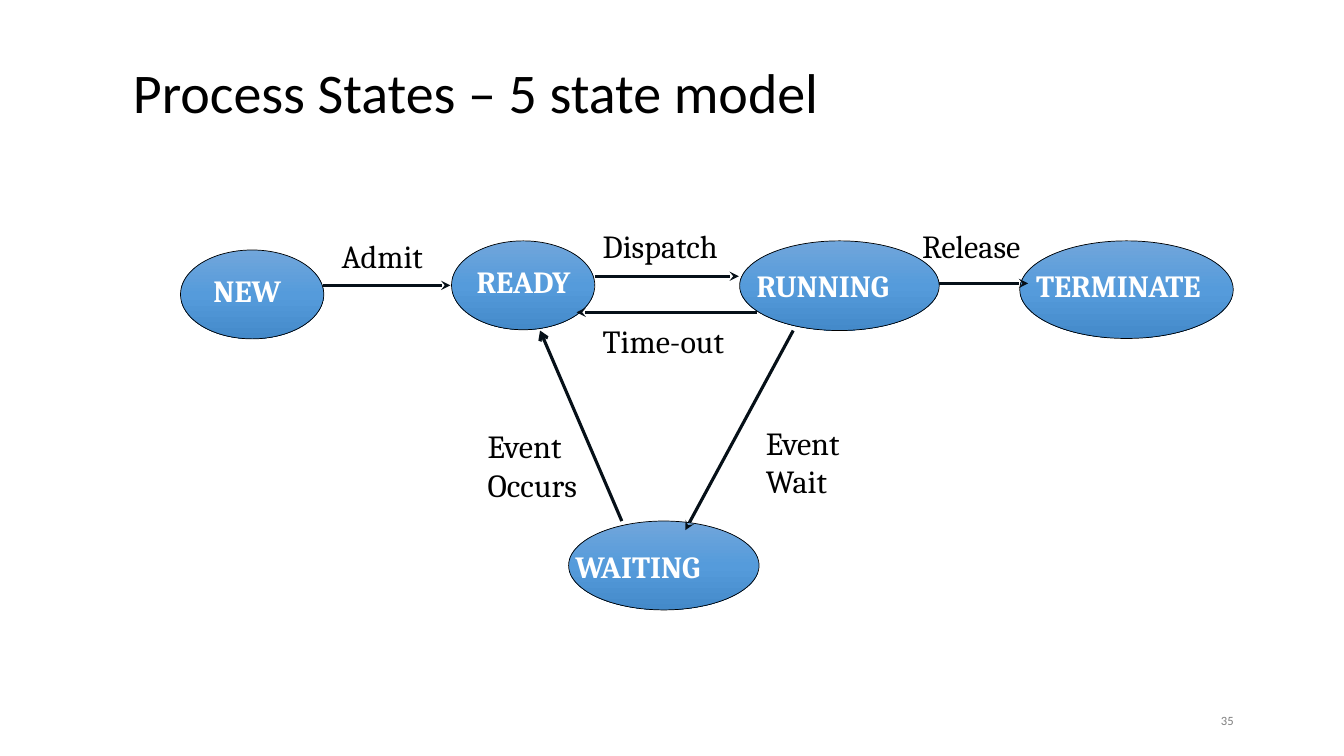
import copy
from dataclasses import dataclass

import pptx
import pptx.dml.color
import pptx.enum.shapes
import pptx.enum.text
import pptx.oxml
import pptx.oxml.ns
import pptx.util

Cm = pptx.util.Cm
Pt = pptx.util.Pt
RGBColor = pptx.dml.color.RGBColor
Align = pptx.enum.text.PP_ALIGN
Anchor = pptx.enum.text.MSO_ANCHOR
AutoSize = pptx.enum.text.MSO_AUTO_SIZE
qn = pptx.oxml.ns.qn

BLACK = RGBColor(0x00, 0x00, 0x00)
WHITE = RGBColor(0xFF, 0xFF, 0xFF)
GRAY = RGBColor(0x80, 0x80, 0x80)
ARROW_COLOR = RGBColor(0x06, 0x10, 0x18)
STATE_GRADIENT = (
    (0.0, RGBColor(0x71, 0xA6, 0xDB)),
    (0.5, RGBColor(0x55, 0x9B, 0xDB)),
    (1.0, RGBColor(0x44, 0x8A, 0xCA)),
)

TITLE_FONT = {"name": "Calibri", "size": Pt(40), "bold": False}
NUMBER_FONT = {"name": "Calibri", "size": Pt(9), "bold": False}
STATE_FONT = {"name": "Cambria", "size": Pt(22), "bold": True}
EVENT_FONT = {"name": "Cambria", "size": Pt(23), "bold": False}

FITTED = {"word_wrap": False, "auto_size": AutoSize.SHAPE_TO_FIT_TEXT}
CENTERED = {"word_wrap": True, "vertical_anchor": Anchor.MIDDLE}


@dataclass
class Area:
    left: float
    top: float
    width: float
    height: float

    def lengths(self) -> list:
        return [Cm(value) for value in (self.left, self.top, self.width, self.height)]


@dataclass
class Label:
    lines: tuple
    area: Area
    font: dict
    color: RGBColor
    frame: dict
    paragraph: dict


@dataclass
class State:
    name: str
    oval: Area
    text: Area


@dataclass
class Arrow:
    start: tuple
    end: tuple
    tip: str = "tailEnd"
    style: str = "stealth"


@dataclass
class Event:
    lines: tuple
    area: Area


STATES = (
    State("READY", Area(11.38, 6.07, 3.61, 2.24), Area(11.76, 6.5, 3, 1.19)),
    State("NEW", Area(4.55, 6.3, 3.61, 2.24), Area(5.13, 6.73, 2.26, 1.19)),
    State("TERMINATE", Area(25.7, 6.07, 5.38, 2.46), Area(25.86, 6.6, 4.85, 1.19)),
    State("RUNNING", Area(18.64, 6.07, 5.03, 2.26), Area(18.82, 6.6, 3.94, 1.19)),
    State("WAITING", Area(14.33, 13.13, 4.8, 2.24), Area(14.25, 13.67, 3.81, 1.19)),
)

ARROWS = (
    Arrow((8.15, 7.19), (11.35, 7.19)),
    Arrow((14.99, 6.96), (18.62, 6.96)),
    Arrow((23.67, 7.14), (25.91, 7.14)),
    Arrow((19.08, 7.87), (14.53, 7.87)),
    Arrow((19.99, 8.33), (17.27, 13.36)),
    Arrow((13.61, 8.33), (15.67, 13.13), "headEnd", "arrow"),
)

EVENTS = (
    Event(("Admit",), Area(8.36, 5.82, 2.67, 1.24)),
    Event(("Dispatch",), Area(14.94, 5.59, 3.58, 1.24)),
    Event(("Time-out",), Area(14.94, 7.98, 3.76, 1.24)),
    Event(("Release",), Area(22.99, 5.59, 3.18, 1.24)),
    Event(("Event", "Wait"), Area(19.05, 10.54, 2.69, 2.24)),
    Event(("Event", "Occurs"), Area(12.04, 10.62, 2.92, 2.24)),
)


def set_values(target: object, values: dict) -> None:
    for name, value in values.items():
        setattr(target, name, value)


def draw_label(page: pptx.slide.Slide, label: Label) -> None:
    box = page.shapes.add_textbox(*label.area.lengths())
    frame = box.text_frame
    set_values(frame, label.frame)
    for index, line in enumerate(label.lines):
        para = frame.add_paragraph() if index else frame.paragraphs[0]
        set_values(para, label.paragraph)
        span = para.add_run()
        span.text = line
        set_values(span.font, label.font)
        span.font.color.rgb = label.color


def draw_oval(page: pptx.slide.Slide, area: Area) -> None:
    oval = page.shapes.add_shape(
        pptx.enum.shapes.MSO_SHAPE.OVAL, *area.lengths()
    )
    oval.shadow.inherit = False
    oval.fill.gradient()
    oval.fill.gradient_angle = 270
    stops = oval._element.spPr.find(".//" + qn("a:gsLst"))
    stops.insert(1, copy.deepcopy(stops[0]))
    for stop, (position, color) in zip(oval.fill.gradient_stops, STATE_GRADIENT):
        stop.position = position
        stop.color.rgb = color
    oval.line.color.rgb = BLACK
    oval.line.width = Pt(0.5)


def draw_arrow(page: pptx.slide.Slide, arrow: Arrow) -> None:
    ends = [Cm(value) for value in arrow.start + arrow.end]
    connector = page.shapes.add_connector(
        pptx.enum.shapes.MSO_CONNECTOR.STRAIGHT, *ends
    )
    connector.line.color.rgb = ARROW_COLOR
    connector.line.width = Pt(2.25)
    tip = pptx.oxml.parse_xml(
        f'<a:{arrow.tip} {pptx.oxml.ns.nsdecls("a")} type="{arrow.style}"/>'
    )
    connector.line._get_or_add_ln().append(tip)
    connector._element.spPr.append(
        pptx.oxml.parse_xml(f'<a:effectLst {pptx.oxml.ns.nsdecls("a")}/>')
    )


def main() -> None:
    deck = pptx.Presentation()
    deck.slide_width = Cm(33.87)
    deck.slide_height = Cm(19.05)
    page = deck.slides.add_slide(deck.slide_layouts[6])

    draw_label(page, Label(
        ("Process States – 5 state model",), Area(3.1, 0.76, 28.24, 3.28),
        TITLE_FONT, BLACK, CENTERED, {"line_spacing": 0.9},
    ))
    draw_label(page, Label(
        ("35",), Area(23.72, 17.65, 7.62, 1.02), NUMBER_FONT, GRAY, CENTERED,
        {"alignment": Align.RIGHT, "space_after": Pt(6)},
    ))
    for state in STATES:
        draw_oval(page, state.oval)
    for arrow in ARROWS:
        draw_arrow(page, arrow)
    for state in STATES:
        draw_label(page, Label(
            (state.name,), state.text, STATE_FONT, WHITE, FITTED, {}
        ))
    for event in EVENTS:
        draw_label(page, Label(
            event.lines, event.area, EVENT_FONT, BLACK, FITTED, {}
        ))

    deck.save("out.pptx")


if __name__ == "__main__":
    main()
